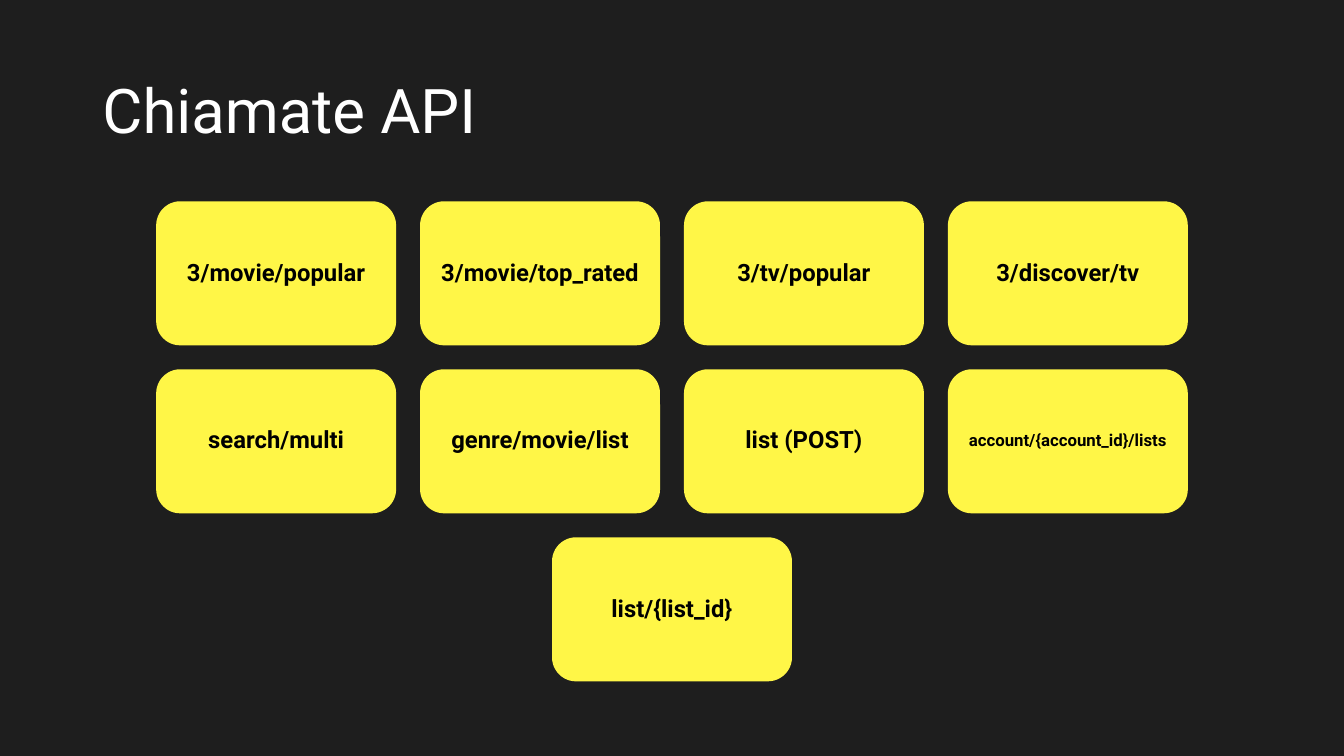
from pptx import Presentation
from pptx.dml.color import RGBColor
from pptx.enum.shapes import MSO_SHAPE as SHAPE
from pptx.enum.text import MSO_ANCHOR as ANCHOR, PP_ALIGN as ALIGN
from pptx.util import Pt

COLORS = {"background": "1E1E1E", "card": "FFF647", "card_text": "000000", "title": "FFFFFF"}
SLIDE_W, SLIDE_H = 960, 540
CARD_W, CARD_H, GAP = 171.4, 102.9, 17.1
ENDPOINT_ROWS = [
    ["3/movie/popular", "3/movie/top_rated", "3/tv/popular", "3/discover/tv"],
    ["search/multi", "genre/movie/list", "list (POST)", "account/{account_id}/lists"],
    ["list/{list_id}"],
]


def rgb(name):
    return RGBColor.from_string(COLORS[name])


def write_text(sp, text, color, align, **font):
    tf = sp.text_frame
    tf.word_wrap = True
    tf.vertical_anchor = ANCHOR.MIDDLE
    p = tf.paragraphs[0]
    p.alignment = align
    p.line_spacing = 0.9
    r = p.add_run()
    r.text = text
    r.font.color.rgb = rgb(color)
    for key, value in {"name": "Roboto", **font}.items():
        setattr(r.font, key, value)


def add_title(slide, text, left, top, width, height):
    sp = slide.shapes.title
    sp.left, sp.top, sp.width, sp.height = map(Pt, (left, top, width, height))
    write_text(sp, text, "title", ALIGN.LEFT, size=Pt(44))


def add_card(slide, text, left, top):
    sp = slide.shapes.add_shape(SHAPE.ROUNDED_RECTANGLE, *map(Pt, (left, top, CARD_W, CARD_H)))
    sp.shadow.inherit = False
    sp.fill.solid()
    sp.fill.fore_color.rgb = rgb("card")
    sp.line.fill.background()
    long_text = len(text) > 20
    for side in ("left", "top", "right", "bottom"):
        setattr(sp.text_frame, f"margin_{side}", Pt(3.6 if long_text else 5))
    write_text(sp, text, "card_text", ALIGN.CENTER, size=Pt(12 if long_text else 17), bold=True)


def add_card_grid(slide, rows, left, top, width):
    """Stack rows of cards, each row centred in the given width."""
    for i, row in enumerate(rows):
        row_w = len(row) * (CARD_W + GAP) - GAP
        row_left = left + (width - row_w) / 2
        for j, text in enumerate(row):
            add_card(slide, text, row_left + j * (CARD_W + GAP), top + i * (CARD_H + GAP))


def main():
    prs = Presentation()
    prs.slide_width, prs.slide_height = Pt(SLIDE_W), Pt(SLIDE_H)
    slide = prs.slides.add_slide(prs.slide_layouts[5])
    slide.background.fill.solid()
    slide.background.fill.fore_color.rgb = rgb("background")
    add_title(slide, "Chiamate API", 66, 28.8, 828, 104.4)
    add_card_grid(slide, ENDPOINT_ROWS, 66, 143.8, 828)
    prs.save("out.pptx")


if __name__ == "__main__":
    main()
